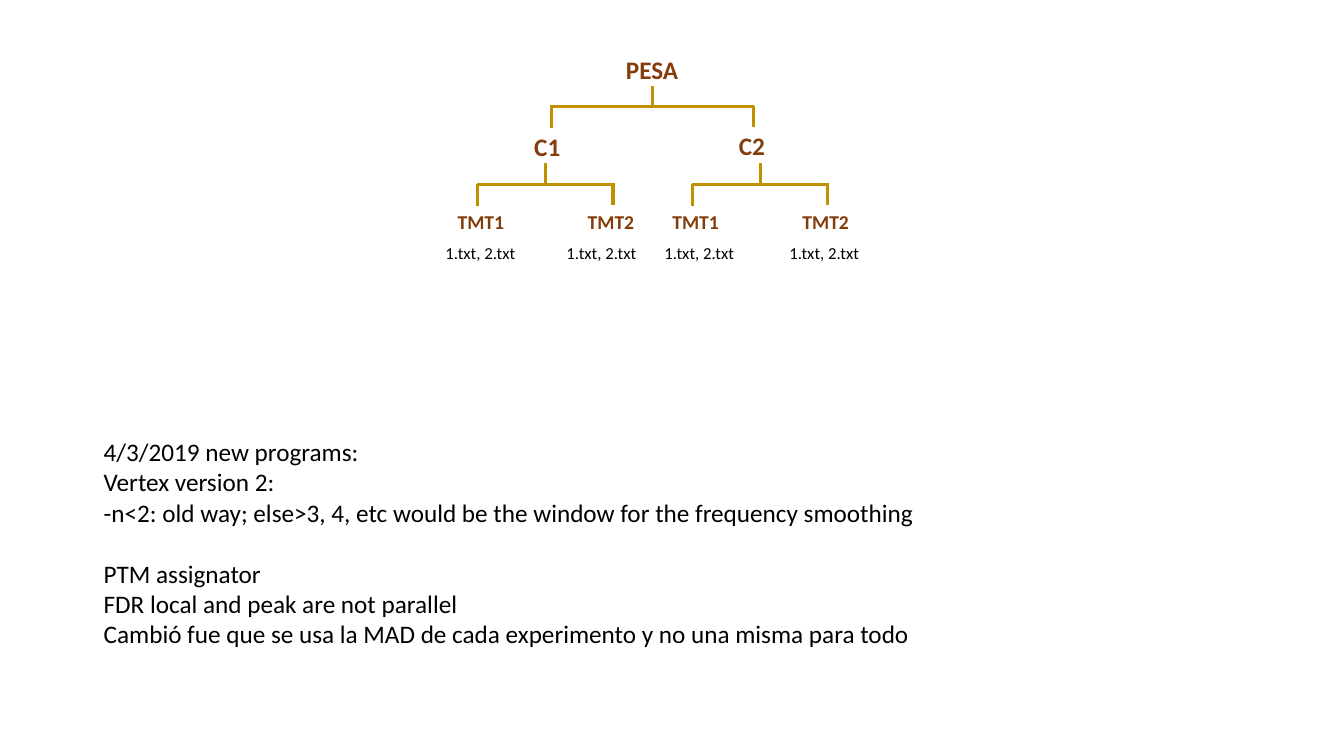
"""Build a slide with an experiment tree above a list of program notes."""
from dataclasses import dataclass

from lxml.etree import SubElement
from pptx import Presentation
from pptx.dml.color import RGBColor
from pptx.enum.shapes import MSO_CONNECTOR
from pptx.enum.text import MSO_AUTO_SIZE
from pptx.oxml.ns import qn
from pptx.util import Pt

PX = 9144


@dataclass(frozen=True)
class Theme:
    """Hold the colours, font and sizes of the slide."""
    font: str = "Calibri"
    node: RGBColor = RGBColor(0x84, 0x3C, 0x0B)
    branch: RGBColor = RGBColor(0xBF, 0x90, 0x00)
    ink: RGBColor = RGBColor(0, 0, 0)
    large: Pt = Pt(18)
    medium: Pt = Pt(14)
    small: Pt = Pt(12)
    stroke: Pt = Pt(2.25)
    section_gap: Pt = Pt(22)


class SlideBuilder:
    """Draw styled elements on one slide."""

    def __init__(self, slide, theme):
        self.slide = slide
        self.theme = theme

    def text(self, area, sections, size, color, bold=False):
        """Add a text box whose sections are parted by paragraph spacing."""
        box = self.slide.shapes.add_textbox(*(value * PX for value in area))
        frame = box.text_frame
        frame.word_wrap = True
        frame.auto_size = MSO_AUTO_SIZE.SHAPE_TO_FIT_TEXT
        formats = {"name": self.theme.font, "size": size, "bold": bold}
        para = frame.paragraphs[0]
        for section_index, lines in enumerate(sections):
            for line_index, line in enumerate(lines):
                if section_index or line_index:
                    para = frame.add_paragraph()
                if section_index and not line_index:
                    para.space_before = self.theme.section_gap
                span = para.add_run()
                span.text = line
                for name, value in formats.items():
                    setattr(span.font, name, value)
                span.font.color.rgb = color

    def node(self, area, label, size):
        """Add a bold tree label."""
        self.text(area, [[label]], size, self.theme.node, bold=True)

    def line(self, *ends):
        """Add a straight branch line."""
        connector = self.slide.shapes.add_connector(
            MSO_CONNECTOR.STRAIGHT, *(value * PX for value in ends))
        connector.line.color.rgb = self.theme.branch
        connector.line.width = self.theme.stroke
        SubElement(connector.element.spPr, qn("a:effectLst"))

    def fork(self, center, top, reach):
        """Add a stem, a bar in two halves and two drops."""
        bar = top + 21
        self.line(center, top, center, bar)
        for side, start in ((-1, bar), (1, bar - 1)):
            end = center + side * reach
            self.line(center, bar, end + side, bar)
            self.line(end, start, end, start + 21)


def main():
    """Create and save the deck."""
    deck = Presentation()
    deck.slide_width, deck.slide_height = 1333 * PX, 750 * PX
    theme = Theme()
    page = SlideBuilder(deck.slides.add_slide(deck.slide_layouts[6]), theme)

    page.node((611, 49, 77, 40), "PESA", theme.large)
    page.fork(647, 85, 100)
    for label, left, top, center in (("C1", 520, 125, 541), ("C2", 723, 124, 754)):
        page.node((left, top, 51, 40), label, theme.large)
        page.fork(center, 162, 67)

    leaves = (("TMT1", 444, 432), ("TMT2", 573, 552),
              ("TMT1", 657, 649), ("TMT2", 786, 773))
    for label, label_left, files_left in leaves:
        page.node((label_left, 203, 92, 34), label, theme.medium)
        page.text((files_left, 236, 96, 30), [["1.txt, 2.txt"]],
                  theme.small, theme.ink)

    notes = [
        ["4/3/2019 new programs:",
         "Vertex version 2:",
         "-n<2: old way; else>3, 4, etc would be the window for the frequency smoothing"],
        ["PTM assignator",
         "FDR local and peak are not parallel",
         "Cambió fue que se usa la MAD de cada experimento y no una misma para todo"],
    ]
    page.text((93, 428, 978, 222), notes, theme.large, theme.ink)
    deck.save("out.pptx")


if __name__ == "__main__":
    main()
